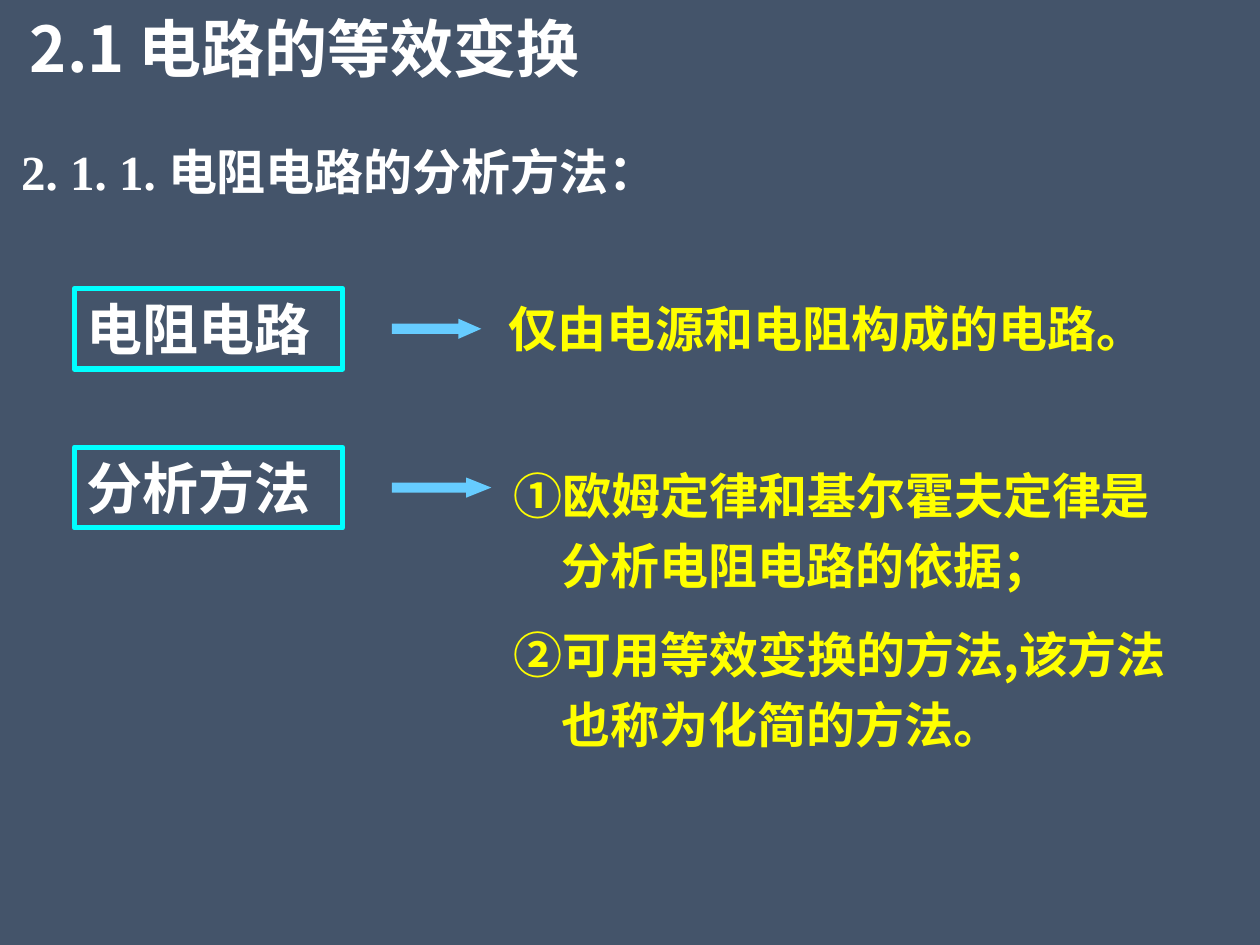
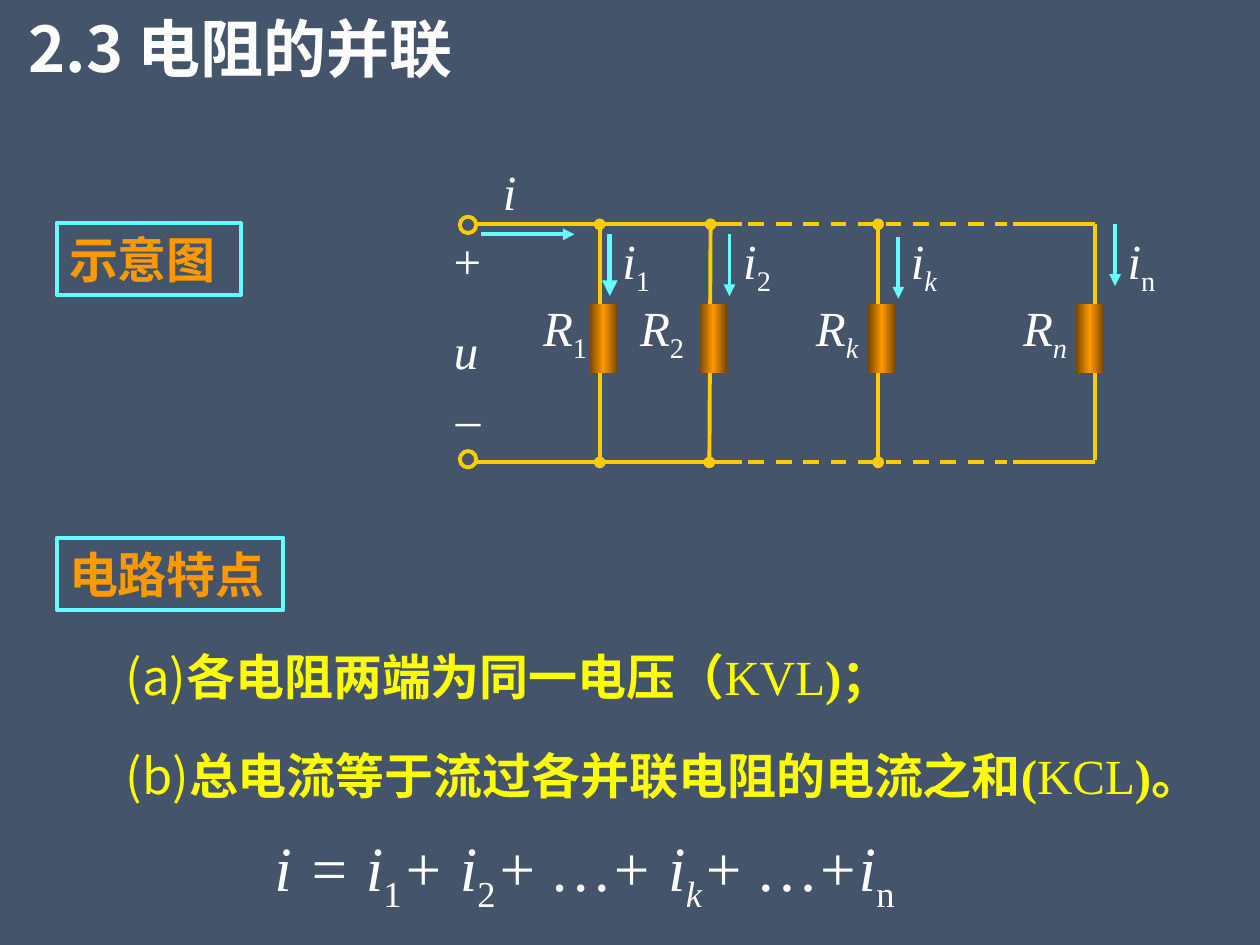
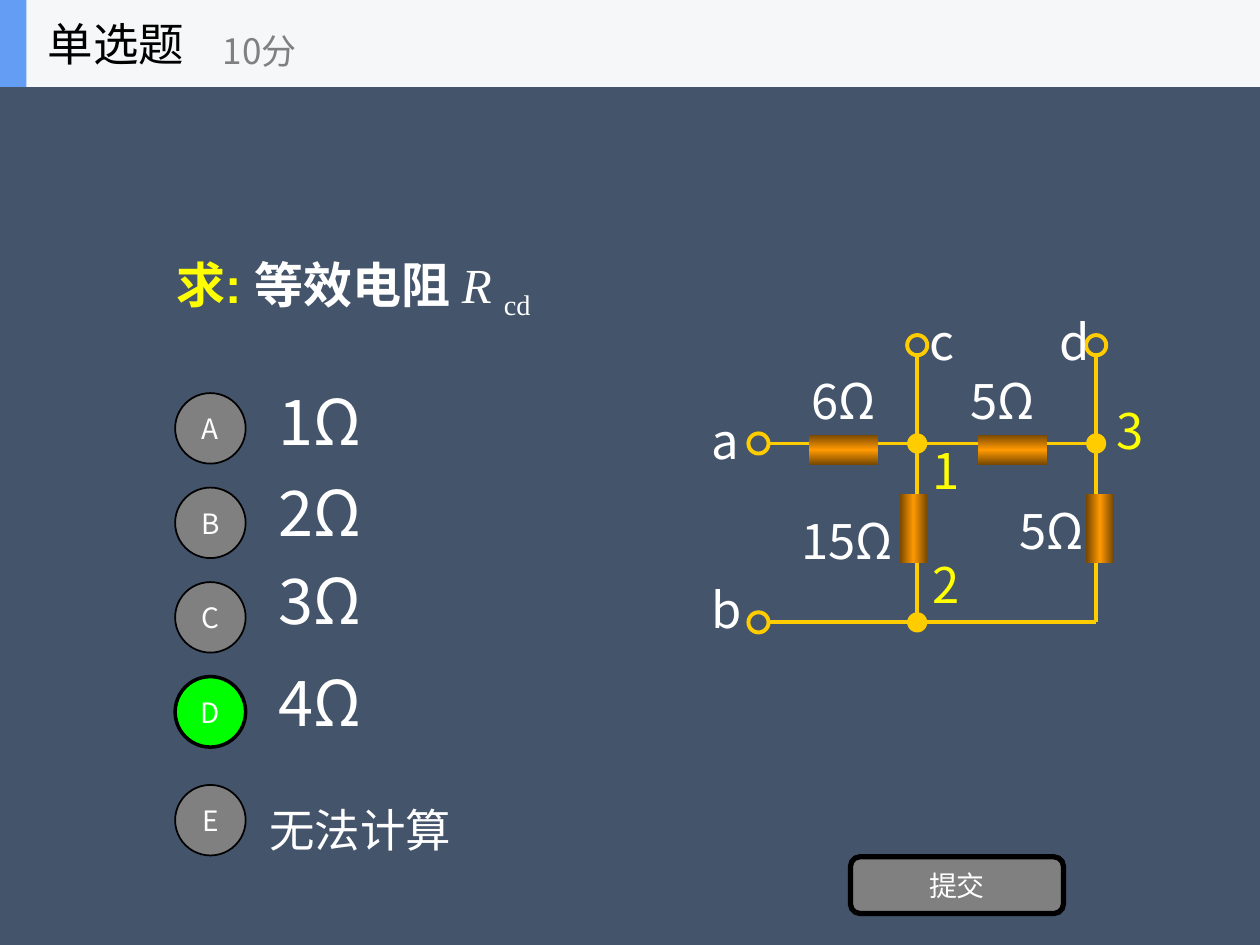
from copy import deepcopy
from dataclasses import dataclass, replace
from typing import Any, NamedTuple

from lxml import etree
from pptx import Presentation, util as u
from pptx.dml.color import RGBColor
from pptx.enum import dml, shapes, text
from pptx.oxml.ns import qn

INK = {
    "slate": "44546A", "white": "FFFFFF", "black": "000000", "grey": "808080",
    "yellow": "FFFF00", "orange": "FF9900", "brown": "764700", "gold": "FFCC00",
    "cyan": "00FFFF", "aqua": "66FFFF", "sky": "66CCFF", "green": "00FF00",
    "pale": "F6F7F8", "blue": "639EF4",
}
SANS, SERIF = "Noto Sans CJK SC", "Times New Roman"
FORM = shapes.MSO_SHAPE
MID, LEFT, CENTER = text.MSO_ANCHOR.MIDDLE, text.PP_ALIGN.LEFT, text.PP_ALIGN.CENTER
COLS, ROWS = 100, 75
FRAME = {"word_wrap": True, "auto_size": text.MSO_AUTO_SIZE.NONE,
         "vertical_anchor": text.MSO_ANCHOR.TOP}

deck = Presentation()
deck.slide_width, deck.slide_height = u.Inches(10), u.Inches(7.5)
COL, ROW = deck.slide_width / COLS, deck.slide_height / ROWS


def hue(name: str) -> RGBColor:
    return RGBColor.from_string(INK[name])


class Box(NamedTuple):
    x: float
    y: float
    w: float
    h: float = 5.7

    def emu(self) -> list[int]:
        return [round(n * unit) for n, unit in zip(self, (COL, ROW) * 2)]


@dataclass(frozen=True)
class Run:
    text: str = ""
    size: float = 28
    ink: str = "white"
    face: str = SANS
    bold: bool = False
    ital: bool = False
    sub: bool = False

    def say(self, words: str, **change: Any) -> "Run":
        return replace(self, text=words, **change)


@dataclass(frozen=True)
class Branch:
    sign: str
    top: float
    foot: float
    body: float
    name: float
    arrow: float
    flow: float
    start: float = 18.6
    thick: float = 2.25
    last: bool = False


PLAIN = Run()
BOLD = Run(bold=True)
NOTE = Run(ink="yellow")
HEAD = Run(size=36, bold=True)
MATH = Run(face=SERIF, ital=True)


def write(shape: Any, runs: list[Run], frame: dict = {}, para: dict = {}) -> Any:
    body = shape.text_frame
    for key, val in {**FRAME, **frame}.items():
        setattr(body, key, val)
    line = body.paragraphs[0]
    for key, val in {"alignment": LEFT, **para}.items():
        setattr(line, key, val)
    for run in runs:
        part = line.add_run()
        part.text = run.text
        looks = {"size": u.Pt(run.size), "name": run.face,
                 "bold": run.bold, "italic": run.ital}
        for key, val in looks.items():
            setattr(part.font, key, val)
        part.font.color.rgb = hue(run.ink)
        prop = part.font._element
        etree.SubElement(prop, qn("a:ea"), typeface=SANS)
        if run.sub:
            prop.set("baseline", "-25000")
    return line


def label(on: Any, box: Box, *runs: Run, frame: dict = {}, para: dict = {}) -> Any:
    return write(on.add_textbox(*box.emu()), list(runs), frame, para)


def tag(on: Any, box: Box, *runs: Run) -> None:
    label(on, box, *runs, frame={"word_wrap": False, "vertical_anchor": MID},
          para={"alignment": CENTER})


def draw(on: Any, form: Any, box: Box, fill: str = "", edge: str = "",
         thick: float = 2.25) -> Any:
    shape = on.add_shape(form, *box.emu())
    shape.shadow.inherit = False
    if fill:
        shape.fill.solid()
        shape.fill.fore_color.rgb = hue(fill)
    else:
        shape.fill.background()
    if edge:
        shape.line.color.rgb = hue(edge)
        shape.line.width = u.Pt(thick)
    else:
        shape.line.fill.background()
    return shape


def wire(on: Any, x1: float, y1: float, x2: float, y2: float, ink: str = "gold",
         thick: float = 2.25, dash: bool = False, head: str = "", tail: str = "") -> None:
    ends = Box(x1, y1, x2, y2).emu()
    link = on.add_connector(shapes.MSO_CONNECTOR.STRAIGHT, *ends)
    link.line.color.rgb = hue(ink)
    link.line.width = u.Pt(thick)
    if dash:
        link.line.dash_style = dml.MSO_LINE.DASH
    prop = link.element.spPr
    for name, kind in (("a:headEnd", head), ("a:tailEnd", tail)):
        if kind:
            etree.SubElement(prop.find(qn("a:ln")), qn(name), type=kind)
    etree.SubElement(prop, qn("a:effectLst"))


def ohm(on: Any, x: float, y: float, flat: bool = False) -> None:
    size = (5.5, 2.4) if flat else (2.2, 5.5)
    shape = draw(on, FORM.RECTANGLE, Box(x, y, *size))
    shape.fill.gradient()
    shape.fill.gradient_angle = 90 if flat else 0
    stops = shape.element.spPr.find(".//" + qn("a:gsLst"))
    stops.insert(1, deepcopy(stops[0]))
    for stop, place, ink in zip(shape.fill.gradient_stops, (0, 0.5, 1),
                                ("brown", "orange", "brown")):
        stop.color.rgb = hue(ink)
        stop.position = place


def ring(on: Any, x: float, y: float, size: float, full: bool = False) -> None:
    look = {"fill": "gold"} if full else {"edge": "gold"}
    draw(on, FORM.OVAL, Box(x - size / 2, y - size / 2, size, size), **look)


def panel(on: Any, box: Box, run: Run, edge: str, thick: float) -> None:
    write(draw(on, FORM.RECTANGLE, box, "", edge, thick), [run])


def page() -> Any:
    return deck.slides.add_slide(deck.slide_layouts[5])


def title(slide: Any, box: Box, run: Run, align: Any = CENTER) -> None:
    shape = slide.shapes.title
    for key, val in zip(("left", "top", "width", "height"), box.emu()):
        setattr(shape, key, val)
    write(shape, [run], {"vertical_anchor": MID}, {"alignment": align})
    shape.element.getparent().append(shape.element)


def count(on: Any, box: Box, words: str, start: int) -> None:
    line = label(on, box, BOLD.say(words, ink="yellow"), para={"line_spacing": 1.2})
    prop = line._p.get_or_add_pPr()
    dent = u.Inches(0.38)
    prop.set("marL", str(dent))
    prop.set("indent", str(-dent))
    etree.SubElement(prop, qn("a:buFont"), typeface=SANS)
    etree.SubElement(prop, qn("a:buAutoNum"), type="circleNumDbPlain", startAt=str(start))


def methods() -> None:
    slide = page()
    on = slide.shapes
    title(slide, Box(0, 0.2, 48.4, 7.1), HEAD.say("2.1 电路的等效变换"))
    label(on, Box(0.7, 10.7, 50.8), BOLD.say("2. 1. 1. 电阻电路的分析方法：", face=SERIF),
          frame={"vertical_anchor": MID})
    for words, y, wide, point in (("电阻电路", 22.9, 7.1, 1.136),
                                  ("分析方法", 35.5, 7.9, 1.247)):
        panel(on, Box(5.9, y, 21.3, 6.4), BOLD.say(words, size=32), "cyan", 3)
        arrow = draw(on, FORM.RIGHT_ARROW, Box(31.1, y + 2.4, wide, 1.6), "sky")
        arrow.adjustments[1] = point
    label(on, Box(39.4, 23.2, 57.1), BOLD.say("仅由电源和电阻构成的电路。", ink="yellow"))
    count(on, Box(39.8, 35.5, 55.9, 12.2), "欧姆定律和基尔霍夫定律是分析电阻电路的依据；", 1)
    count(on, Box(39.8, 48.1, 55.1, 12.2), "可用等效变换的方法,该方法也称为化简的方法。", 2)


BRANCHES = [
    Branch("1", 47.6, 47.6, 46.8, 42, 48.4, 48.4, thick=3),
    Branch("2", 56.4, 56.3, 55.5, 49.7, 57.9, 58),
    Branch("k", 69.7, 69.7, 68.9, 63.6, 71.3, 71.3, start=18.8),
    Branch("n", 86.9, 86.9, 85.4, 80.1, 88.5, 88.5, start=17.8, last=True),
]


def ladder(on: Any) -> None:
    high, low = 17.8, 36.7
    for y in (high, low):
        wire(on, 37.7, y, 58.9, y)
        wire(on, 59.4, y, 79.9, y, dash=True)
        wire(on, 80.4, y, 86.9, y)
    for y in (17.85, 36.45):
        ring(on, 37.15, y, 1.3)
    for b in BRANCHES:
        dot = "" if b.last else "oval"
        wire(on, b.foot, 36.5 if b.last else low, b.top, high, head=dot, tail=dot)
        ohm(on, b.body, 24.1)
        tag(on, Box(b.name, 23.4, 5.7), MATH.say("R"),
            MATH.say(b.sign, sub=True, ital=b.sign in "kn"))
        wire(on, b.arrow, b.start, b.arrow, b.start + 4.9, "aqua", b.thick, tail="triangle")
        label(on, Box(b.flow, 17.8, 6.2), MATH.say("i"),
              MATH.say(b.sign, sub=True, ital=b.sign == "k"))
    wire(on, 38.2, 18.6, 45.6, 18.6, "aqua", tail="triangle")
    tag(on, Box(38.9, 12.3, 3.1), MATH.say("i"))
    tag(on, Box(35, 17.8, 4.2), MATH.say("+", ital=False))
    tag(on, Box(35, 24.9, 4), MATH.say("u"))
    label(on, Box(35.2, 29, 4), MATH.say("_", ital=False), frame={"word_wrap": False})


def shunt() -> None:
    slide = page()
    on = slide.shapes
    title(slide, Box(0, 0.2, 38.2, 7.1), HEAD.say("2.3 电阻的并联"))
    for words, y, wide in (("示意图", 17.7, 14.6), ("电路特点", 42.7, 18)):
        panel(on, Box(4.5, y, wide), BOLD.say(words, ink="orange"), "aqua", 2.25)
    fat = NOTE.say("", bold=True)
    thin = NOTE.say("", face=SERIF)
    stout = fat.say("", face=SERIF)
    label(on, Box(9, 50.8, 72.4), NOTE.say("(a)"), fat.say("各电阻两端为同一电压（"),
          thin.say("KVL"), stout.say(")；"))
    label(on, Box(9, 58.7, 91.4), NOTE.say("(b)"),
          fat.say("总电流等于流过各并联电阻的电流之和"), stout.say("("),
          thin.say("KCL"), stout.say(")"), fat.say("。"))
    big = MATH.say("", size=36)
    terms = (("i = i", "1"), ("+ i", "2"), ("+ …+ i", "k"), ("+ …+i", "n"))
    label(on, Box(20.8, 65.3, 54.3, 7), *[
        run for words, sign in terms
        for run in (big.say(words), big.say(sign, sub=True, ital=sign == "k"))])
    ladder(on.add_group_shape().shapes)


def mesh(on: Any) -> None:
    left, mid, right = 60.2, 72.8, 87
    top, high, low = 27.4, 35.2, 49.4
    for y in (high, low):
        wire(on, left + 0.8, y, right, y)
        ring(on, left, y, 1.6)
    for x in (mid, right):
        wire(on, x, top + 0.8, x, low)
        ring(on, x, top, 1.6)
    for x, y in ((mid, high), (right, high), (mid, low)):
        ring(on, x, y, 1.6, True)
    for x, y, flat in ((64.2, 34.5, True), (77.6, 34.5, True),
                       (71.4, 39.2, False), (86.2, 39.2, False)):
        ohm(on, x, y, flat)
    for words, x, y, wide in (("6Ω", 63.4, 28.9, 7.9), ("15Ω", 62.6, 40, 9.5),
                              ("5Ω", 76, 28.9, 7.9), ("5Ω", 79.9, 39.2, 7.9),
                              ("d", 83.1, 24.2, 3.9), ("c", 72.8, 24.2, 3.9),
                              ("b", 55.5, 45.5, 3.9), ("a", 55.5, 32.1, 3.9)):
        label(on, Box(x, y, wide), PLAIN.say(words))
    for words, x, y in (("1", 73, 34.5), ("2", 73, 43.5), ("3", 87.6, 31.3)):
        label(on, Box(x, y, 3.9), NOTE.say(words))


def button(on: Any, form: Any, box: Box, words: str, fill: str, thick: float) -> None:
    write(draw(on, form, box, fill, "black", thick), [PLAIN.say(words, size=16)],
          {"vertical_anchor": MID}, {"alignment": CENTER})


def quiz() -> None:
    slide = page()
    on = slide.shapes
    draw(on, FORM.RECTANGLE, Box(0, 0, COLS, 6.9), "pale")
    draw(on, FORM.RECTANGLE, Box(0, 0, 2.1, 6.9), "blue")
    title(slide, Box(2.8, 0, 20.8, 6.9), PLAIN.say("单选题", size=26, ink="black"), LEFT)
    label(on, Box(16.7, 1.2, 25, 5.6), PLAIN.say("10分", size=20, ink="grey"),
          frame={"vertical_anchor": MID})
    ask = BOLD.say("", face="Arial")
    label(on, Box(13, 19.7, 34.7), ask.say("求: ", ink="yellow"), ask.say("等效电阻 "),
          MATH.say("R "), MATH.say("cd ", ital=False, sub=True))
    raised = {"vertical_anchor": MID, "margin_bottom": u.Inches(0.57)}
    for i, (words, y) in enumerate((("1Ω", 32.5), ("2Ω", 39.7), ("3Ω", 46.7), ("4Ω", 54.8))):
        right = words == "4Ω"
        button(on, FORM.OVAL, Box(13.9, 31.2 + 7.5 * i, 5.6, 5.6), "ABCD"[i],
               "green" if right else "grey", 2 if right else 1)
        label(on, Box(21.1, y, 13.5, 7), PLAIN.say(words, size=36), frame=raised)
    button(on, FORM.OVAL, Box(13.9, 62.3, 5.6, 5.6), "E", "grey", 1)
    label(on, Box(20.4, 62.3, 17.5, 7), PLAIN.say("无法计算", size=26),
          frame={"vertical_anchor": MID})
    button(on, FORM.ROUNDED_RECTANGLE, Box(67.5, 68, 16.9, 4.5), "提交", "grey", 3)
    mesh(on.add_group_shape().shapes)


back = deck.slide_master.background.fill
back.solid()
back.fore_color.rgb = hue("slate")
for build in (methods, shunt, quiz):
    build()
deck.save("out.pptx")
